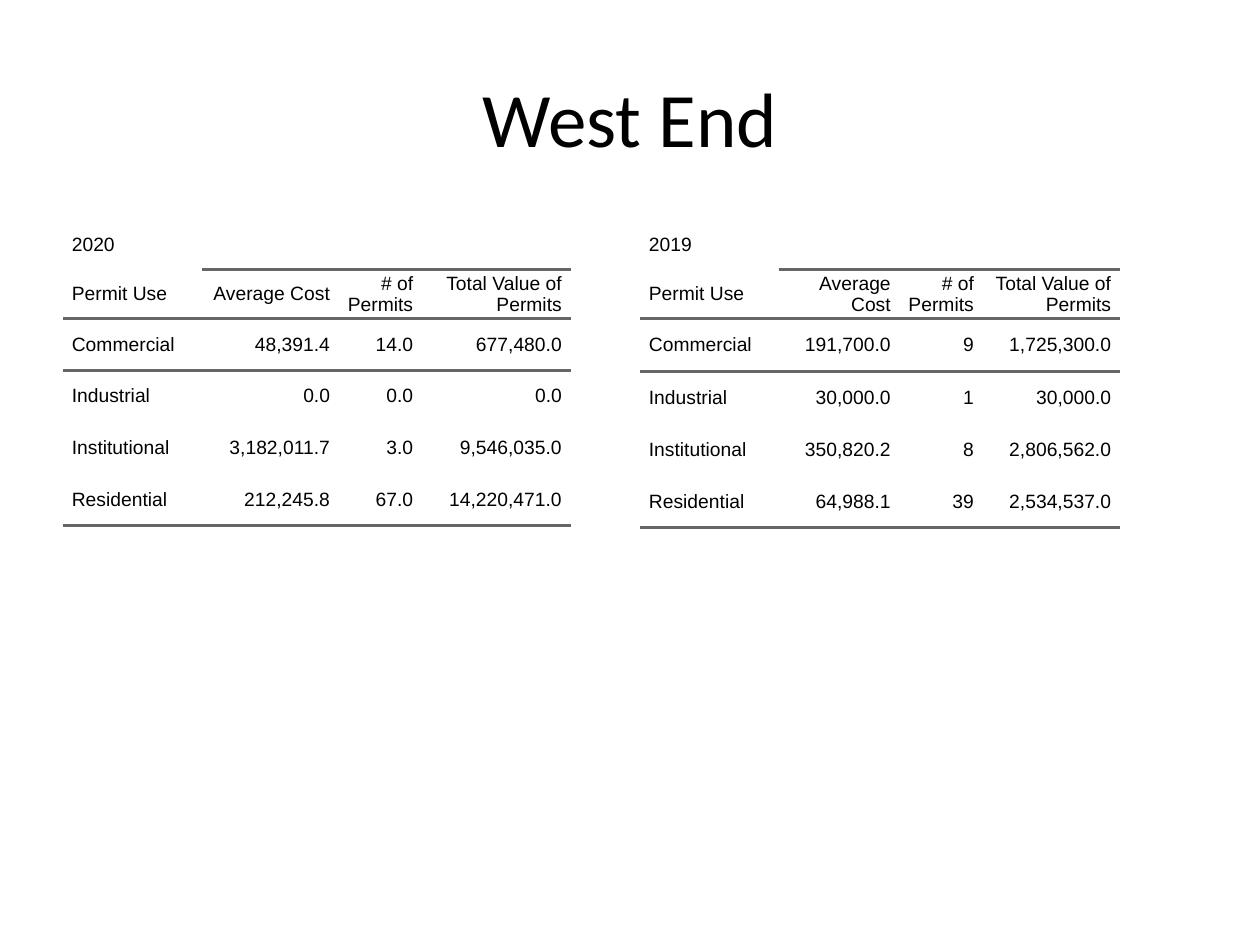
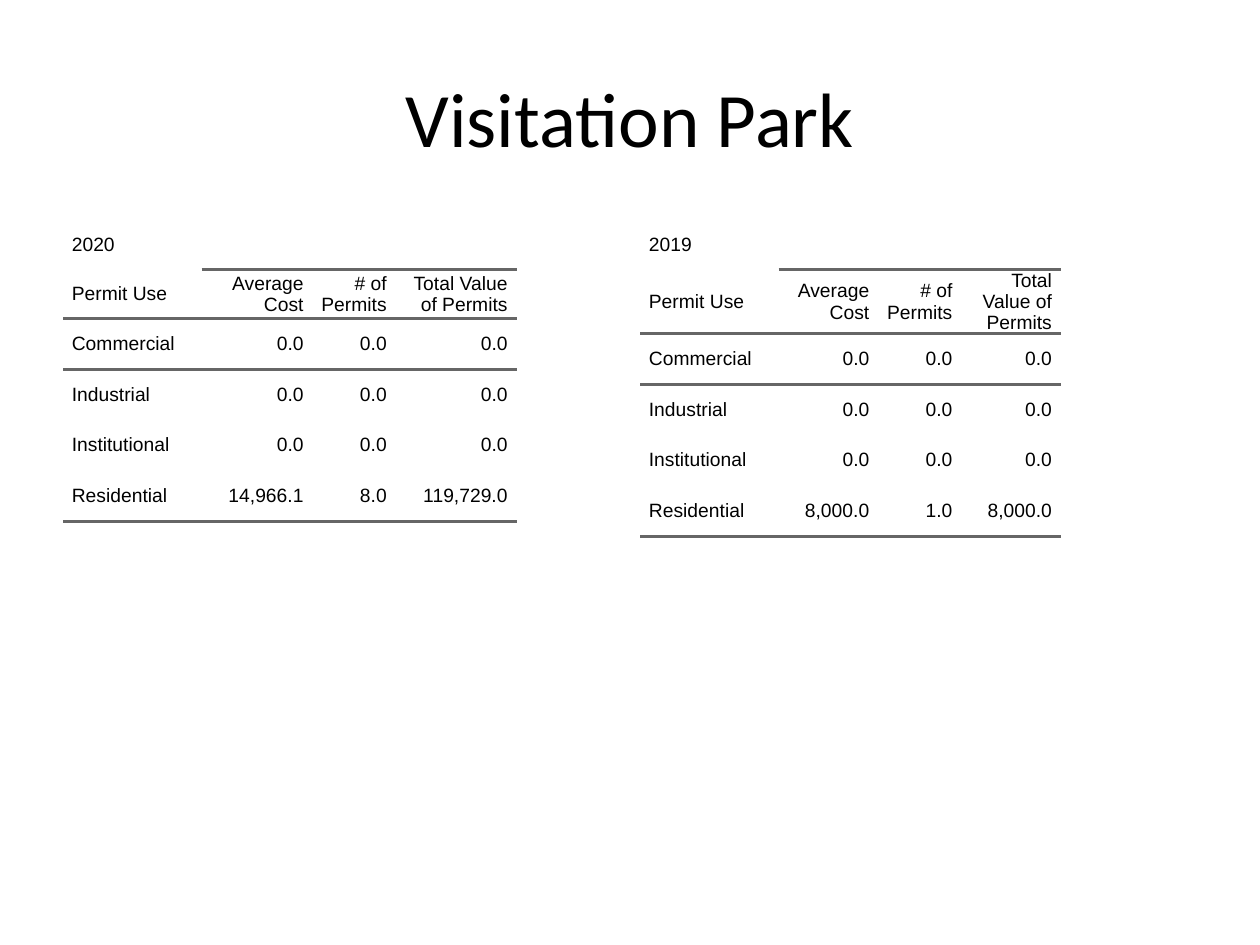
from dataclasses import dataclass

from lxml.etree import SubElement
from pptx import Presentation
from pptx.dml.color import RGBColor
from pptx.enum.text import MSO_ANCHOR, PP_ALIGN
from pptx.oxml.ns import qn
from pptx.util import Inches, Pt

COLORS = {"text": "000000", "rule": "666666"}
TITLE_FONT, TABLE_FONT = "Calibri", "Arial"
TITLE_ONLY_LAYOUT = 5
PLAIN_TABLE_STYLE = "{2D5ABB26-0587-4C30-8999-92F81FD0307C}"

HEADERS = ("Permit Use", "Average Cost", "# of Permits", "Total Value of Permits")
PERMIT_USES = ("Commercial", "Industrial", "Institutional", "Residential")
HEADER_ROW, FIRST_USE_ROW, LAST_ROW = 1, 2, 1 + len(PERMIT_USES)
TABLE_TOP, LEFT_2020, LEFT_2019 = 1.75, 0.5, 5.08
HEAD_HEIGHT, INDENT = 0.39, 0.07
NO_PERMITS = ("0.0", "0.0", "0.0")


@dataclass
class PermitTable:
    year: str
    left: float
    size: tuple[float, float]
    column_widths: tuple[float, ...]
    use_heights: tuple[float, ...]
    figures: tuple[tuple[str, str, str], ...]

    def rows(self) -> list[tuple[str, ...]]:
        uses = [(use, *values) for use, values in zip(PERMIT_USES, self.figures)]
        return [(self.year, "", "", ""), HEADERS, *uses]


@dataclass
class Neighborhood:
    name: str
    tables: tuple[PermitTable, ...]


NEIGHBORHOODS = (
    Neighborhood("West End", (
        PermitTable("2020", LEFT_2020, (4.42, 4.95), (1.1, 1.09, 0.66, 1.18),
                    (0.41, 0.41, 0.41, 0.41),
                    (("48,391.4", "14.0", "677,480.0"),
                     NO_PERMITS,
                     ("3,182,011.7", "3.0", "9,546,035.0"),
                     ("212,245.8", "67.0", "14,220,471.0"))),
        PermitTable("2019", LEFT_2019, (4.42, 4.95), (1.1, 0.96, 0.66, 1.09),
                    (0.42, 0.41, 0.42, 0.41),
                    (("191,700.0", "9", "1,725,300.0"),
                     ("30,000.0", "1", "30,000.0"),
                     ("350,820.2", "8", "2,806,562.0"),
                     ("64,988.1", "39", "2,534,537.0"))),
    )),
    Neighborhood("Visitation Park", (
        PermitTable("2020", LEFT_2020, (3.6, 2.39), (1.1, 0.88, 0.66, 0.96),
                    (0.4, 0.4, 0.4, 0.41),
                    (NO_PERMITS, NO_PERMITS, NO_PERMITS,
                     ("14,966.1", "8.0", "119,729.0"))),
        PermitTable("2019", LEFT_2019, (3.35, 2.55), (1.1, 0.79, 0.66, 0.79),
                    (0.4, 0.4, 0.4, 0.41),
                    (NO_PERMITS, NO_PERMITS, NO_PERMITS,
                     ("8,000.0", "1.0", "8,000.0"))),
    )),
)


def format_runs(paragraph, font: str, size: int) -> None:
    for run in paragraph.runs:
        run.font.name = font
        run.font.size = Pt(size)
        run.font.color.rgb = RGBColor.from_string(COLORS["text"])


def add_rule(cell, side: str) -> None:
    """Draw a cell border; side is a:lnT or a:lnB, the bottom one added first."""
    properties = cell._tc.get_or_add_tcPr()
    line = SubElement(properties, qn(side), w=str(Pt(2)))
    fill = SubElement(line, qn("a:solidFill"))
    SubElement(fill, qn("a:srgbClr"), val=COLORS["rule"])
    properties.insert(0, line)


def format_cell(cell, text: str, row: int, column: int) -> None:
    cell.margin_left = cell.margin_right = cell.margin_top = cell.margin_bottom = 0
    cell.vertical_anchor = MSO_ANCHOR.MIDDLE
    cell.fill.background()
    if row in (HEADER_ROW, LAST_ROW):
        add_rule(cell, "a:lnB")
    if row == FIRST_USE_ROW or (row == HEADER_ROW and column > 0):
        add_rule(cell, "a:lnT")

    paragraph = cell.text_frame.paragraphs[0]
    paragraph.text = text
    paragraph.alignment = PP_ALIGN.RIGHT if column else PP_ALIGN.LEFT
    paragraph.space_before = paragraph.space_after = Pt(5)
    properties = paragraph._p.get_or_add_pPr()
    for name, value in (("marL", Inches(INDENT)), ("marR", Inches(INDENT)), ("indent", 0)):
        properties.set(name, str(value))
    format_runs(paragraph, TABLE_FONT, 11)


def add_permit_table(slide, permits: PermitTable) -> None:
    rows = permits.rows()
    width, height = (Inches(length) for length in permits.size)
    frame = slide.shapes.add_table(len(rows), len(HEADERS), Inches(permits.left),
                                   Inches(TABLE_TOP), width, height)
    table = frame.table
    table.first_row = table.horz_banding = False
    table._tbl.tblPr.find(qn("a:tableStyleId")).text = PLAIN_TABLE_STYLE

    for column, column_width in zip(table.columns, permits.column_widths):
        column.width = Inches(column_width)
    for row, row_height in zip(table.rows, (HEAD_HEIGHT, HEAD_HEIGHT, *permits.use_heights)):
        row.height = Inches(row_height)
    frame.width, frame.height = width, height

    for row, texts in enumerate(rows):
        for column, text in enumerate(texts):
            format_cell(table.cell(row, column), text, row, column)
    table.cell(0, 0).merge(table.cell(0, len(HEADERS) - 1))


def add_title(slide, text: str) -> None:
    title = slide.shapes.title
    title.left, title.top = Inches(0.5), Inches(0.3)
    title.width, title.height = Inches(9), Inches(1.25)
    title.text_frame.text = text
    title.text_frame.vertical_anchor = MSO_ANCHOR.MIDDLE
    paragraph = title.text_frame.paragraphs[0]
    paragraph.alignment = PP_ALIGN.CENTER
    format_runs(paragraph, TITLE_FONT, 44)


def main() -> None:
    presentation = Presentation()
    presentation.slide_width, presentation.slide_height = Inches(10), Inches(7.5)
    for neighborhood in NEIGHBORHOODS:
        slide = presentation.slides.add_slide(presentation.slide_layouts[TITLE_ONLY_LAYOUT])
        add_title(slide, neighborhood.name)
        for permits in neighborhood.tables:
            add_permit_table(slide, permits)
    presentation.save("out.pptx")


if __name__ == "__main__":
    main()
